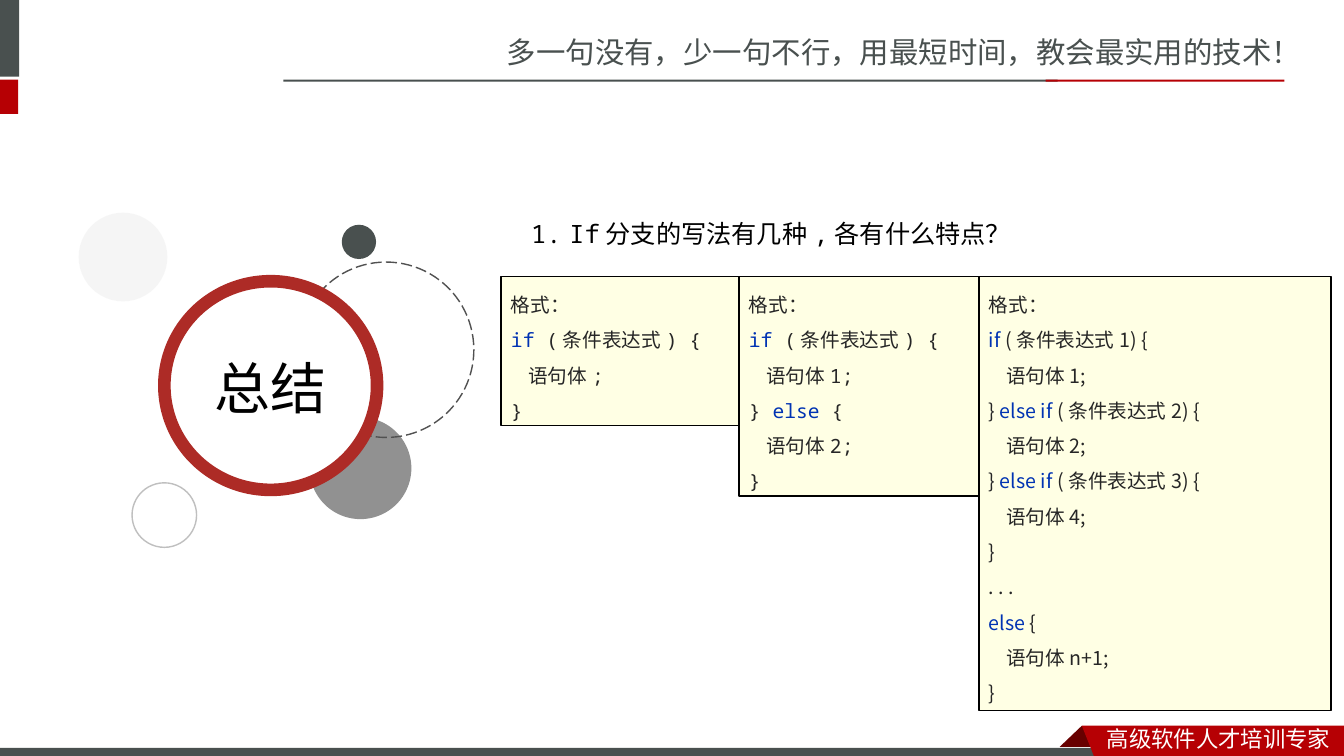
"""Build the summary slide on the forms of the if statement."""
import lxml.etree
import pptx
import pptx.dml.color
import pptx.enum.dml
import pptx.enum.shapes
import pptx.enum.text
import pptx.oxml.ns
import pptx.util
from pptx.util import Inches


class Theme:
    slate, red, dark_red = "49504F", "B60004", "680000"
    ring, gray, light_gray, pale = "AD2B26", "515151", "BFBFBF", "F2F2F2"
    black, white, cream = "000000", "FFFFFF", "FFFFE4"
    code, keyword = "262626", "0033B3"
    sans, title_font, mono = "Noto Sans CJK SC", "Noto Sans CJK JP", "Noto Sans Mono"
    slogan_size, footer_size, title_size = 21, 16, 40
    question_size, code_size, code_pitch = 18, 14, 25.2


def style(shape, fill=None, line=None, width=1, alpha=None):
    shape.shadow.inherit = False
    if fill:
        shape.fill.solid()
        shape.fill.fore_color.rgb = pptx.dml.color.RGBColor.from_string(fill)
        if alpha:
            color = shape.fill._xPr.find(".//" + pptx.oxml.ns.qn("a:srgbClr"))
            lxml.etree.SubElement(color, pptx.oxml.ns.qn("a:alpha"), val=str(alpha * 1000))
    else:
        shape.fill.background()
    if line:
        shape.line.color.rgb = pptx.dml.color.RGBColor.from_string(line)
        shape.line.width = pptx.util.Pt(width)
    else:
        shape.line.fill.background()


def add_span(para, text, font, size, color):
    span = para.add_run()
    span.text = text
    span.font.size = pptx.util.Pt(size)
    span.font.color.rgb = pptx.dml.color.RGBColor.from_string(color)
    span.font.name = font
    east_asian = Theme.sans if font == Theme.mono else font
    lxml.etree.SubElement(span.font._element, pptx.oxml.ns.qn("a:ea"), typeface=east_asian)


deck = pptx.Presentation()
deck.slide_width, deck.slide_height = Inches(13.33), Inches(7.5)
page = deck.slides.add_slide(deck.slide_layouts[6])
kinds = pptx.enum.shapes.MSO_SHAPE
align = pptx.enum.text.PP_ALIGN
anchor = pptx.enum.text.MSO_ANCHOR

bars = [
    (0, 0, 0.19, 0.76, Theme.slate),
    (0, 0.79, 0.18, 0.34, Theme.red),
    (2.81, 0.79, 7.68, 0.02, Theme.slate),
    (10.37, 0.79, 2.37, 0.02, Theme.red),
    (0, 7.42, 11, 0.08, Theme.slate),
]
for left, top, width, height, color in bars:
    bar = page.shapes.add_shape(kinds.RECTANGLE, Inches(left), Inches(top), Inches(width), Inches(height))
    style(bar, color)

ribbon = [
    ([(10.73, 7.2), (10.95, 7.41), (10.51, 7.41)], Theme.dark_red),
    ([(10.73, 7.2), (13.33, 7.2), (13.33, 7.5), (10.85, 7.5)], Theme.red),
]
for points, color in ribbon:
    corners = [(Inches(x), Inches(y)) for x, y in points]
    builder = page.shapes.build_freeform(*corners[0])
    builder.add_line_segments(corners[1:], close=True)
    style(builder.convert_to_shape(), color)

circles = [
    (1.31, 4.79, 0.64, 0.64, dict(line=Theme.light_gray)),
    (3.07, 4.14, 1.01, 1.01, dict(fill=Theme.gray, alpha=63)),
    (2.96, 2.6, 1.74, 1.74, dict(line=Theme.gray)),
    (1.63, 2.79, 2.11, 2.07, dict(fill=Theme.white, line=Theme.ring, width=9)),
    (0.78, 2.11, 0.88, 0.88, dict(fill=Theme.pale, alpha=70)),
    (3.39, 2.23, 0.34, 0.34, dict(fill=Theme.slate)),
]
for left, top, width, height, look in circles:
    circle = page.shapes.add_shape(kinds.OVAL, Inches(left), Inches(top), Inches(width), Inches(height))
    style(circle, **look)
    if look == dict(line=Theme.gray):
        circle.line.dash_style = pptx.enum.dml.MSO_LINE.LONG_DASH

labels = [
    (4.93, 0.28, 8.4, 0.47, "多一句没有，少一句不行，用最短时间，教会最实用的技术！",
     Theme.sans, Theme.slogan_size, Theme.slate, align.LEFT),
    (10.88, 7.14, 2.45, 0.37, "高级软件人才培训专家",
     Theme.sans, Theme.footer_size, Theme.white, align.LEFT),
    (1.83, 3.25, 1.71, 1.18, "总结",
     Theme.title_font, Theme.title_size, Theme.black, align.CENTER),
    (5.17, 2.07, 7.27, 0.5, "If分支的写法有几种,各有什么特点？",
     Theme.mono, Theme.question_size, Theme.black, align.LEFT),
]
for left, top, width, height, text, font, size, color, alignment in labels:
    box = page.shapes.add_textbox(Inches(left), Inches(top), Inches(width), Inches(height))
    box.text_frame.word_wrap = True
    box.text_frame.vertical_anchor = anchor.MIDDLE
    para = box.text_frame.paragraphs[0]
    para.alignment = alignment
    add_span(para, text, font, size, color)

numbering = para._p.get_or_add_pPr()
numbering.set("marL", str(Inches(0.38)))
numbering.set("indent", str(Inches(-0.38)))
lxml.etree.SubElement(numbering, pptx.oxml.ns.qn("a:buFont"), typeface=Theme.mono)
lxml.etree.SubElement(numbering, pptx.oxml.ns.qn("a:buAutoNum"), type="arabicPeriod")

code_boxes = [
    (4.97, 2.36, 1.48, Theme.mono, [
        "格式：", "|if| (条件表达式) {", "语句体;", "}"]),
    (7.33, 2.78, 2.18, Theme.mono, [
        "格式：", "|if| (条件表达式) {", "语句体1;", "} |else| {", "语句体2;", "}"]),
    (9.71, 3.49, 4.31, Theme.title_font, [
        "格式：", "|if| (条件表达式1) {", "语句体1;",
        "} |else if| (条件表达式2) {", "语句体2;",
        "} |else if| (条件表达式3) {", "语句体4;", "}",
        ". . .", "|else| {", "语句体n+1;", "}"]),
]
for left, width, height, font, rows in code_boxes:
    box = page.shapes.add_shape(kinds.RECTANGLE, Inches(left), Inches(2.74), Inches(width), Inches(height))
    style(box, Theme.cream, Theme.black)
    frame = box.text_frame
    frame.word_wrap = True
    frame.vertical_anchor = anchor.TOP
    frame.margin_top = Inches(0.05)
    for index, row in enumerate(rows):
        para = frame.add_paragraph() if index else frame.paragraphs[0]
        para.alignment = align.LEFT
        para.line_spacing = pptx.util.Pt(Theme.code_pitch)
        if row.startswith("语句体"):
            para._p.get_or_add_pPr().set("marL", str(Inches(0.17)))
        for part, text in enumerate(row.split("|")):
            if text:
                add_span(para, text, font, Theme.code_size, Theme.keyword if part % 2 else Theme.code)

deck.save("out.pptx")
